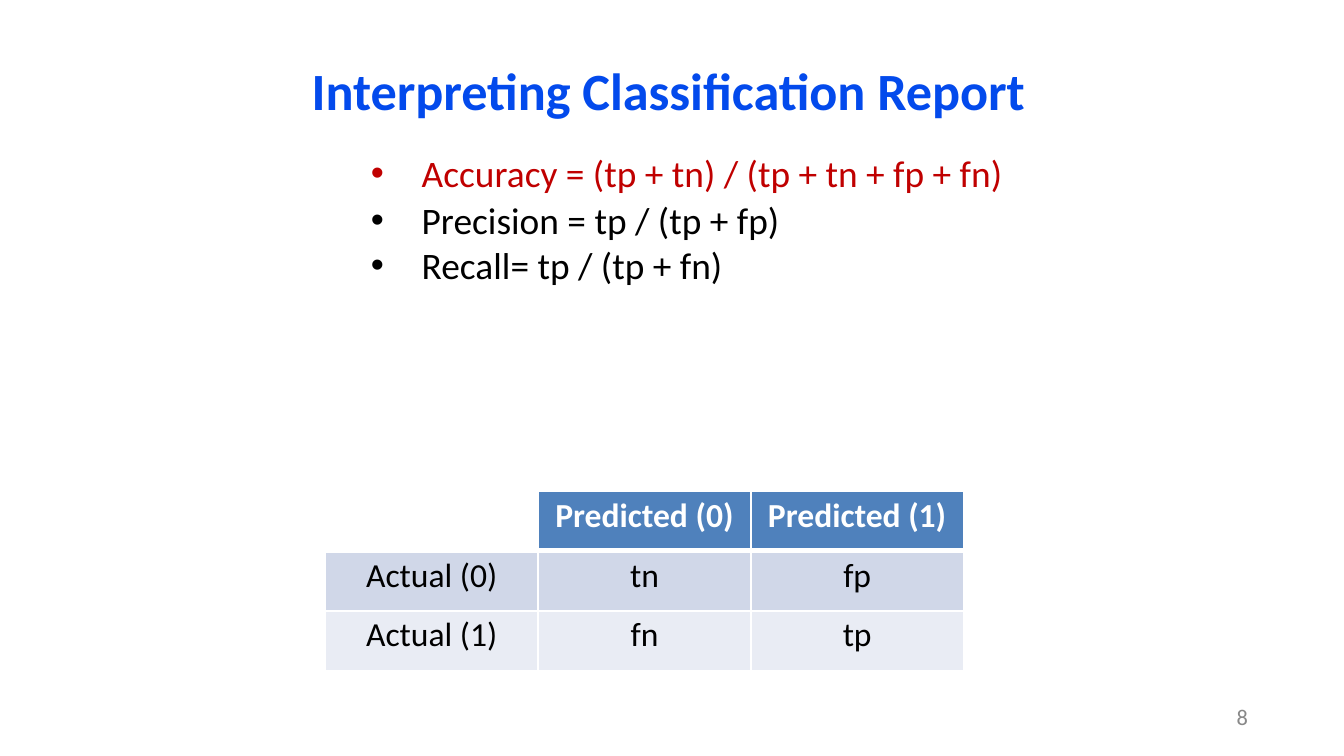
from lxml import etree
from pptx import Presentation
from pptx.dml.color import RGBColor
from pptx.enum import text
from pptx.oxml import ns
from pptx.util import Cm, Pt

BLUE = RGBColor(0x03, 0x4A, 0xEC)
RED = RGBColor(0xC0, 0x00, 0x00)
BLACK = RGBColor(0x00, 0x00, 0x00)
WHITE = RGBColor(0xFF, 0xFF, 0xFF)
GREY = RGBColor(0x88, 0x88, 0x88)
HEADER_FILL = RGBColor(0x4F, 0x81, 0xBC)
ROW_FILLS = [RGBColor(0xD0, 0xD7, 0xE8), RGBColor(0xE9, 0xEC, 0xF4)]

METRICS = [
    (["Accuracy ", "= (tp + tn) / (tp + tn + fp + fn)"], RED, 0),
    (["Precision ", "= tp / (tp + fp)"], BLACK, 1.1),
    (["Recall= ", "tp / (tp + fn)"], BLACK, 0),
]
CONFUSION = [
    ["", "Predicted (0)", "Predicted (1)"],
    ["Actual (0)", "tn", "fp"],
    ["Actual (1)", "fn", "tp"],
]


def add_run(paragraph, words, size, color, bold=False):
    """Append one formatted run to a paragraph."""
    run = paragraph.add_run()
    run.text = words
    run.font.name = "Calibri"
    run.font.size = Pt(size)
    run.font.bold = bold
    run.font.color.rgb = color


def place(region, box):
    """Move a text region to its box and return its frame without insets."""
    region.left, region.top, region.width, region.height = box
    frame = region.text_frame
    frame.margin_left = frame.margin_right = frame.margin_top = frame.margin_bottom = 0
    frame.word_wrap = True
    frame.auto_size = text.MSO_AUTO_SIZE.NONE
    frame.vertical_anchor = text.MSO_ANCHOR.TOP
    return frame


def fill_title(slide, box):
    """Write the slide title in the title placeholder."""
    heading = place(slide.shapes.title, box).paragraphs[0]
    heading.alignment = text.PP_ALIGN.LEFT
    add_run(heading, "Interpreting Classification Report", 28, BLUE, True)


def fill_metrics(slide, box):
    """Write the bulleted metric formulas in the body placeholder."""
    frame = place(slide.placeholders[1], box)
    for index, (parts, color, gap) in enumerate(METRICS):
        formula = frame.add_paragraph() if index else frame.paragraphs[0]
        properties = formula._p.get_or_add_pPr()
        properties.set("marL", str(Cm(0.98)))
        properties.set("indent", str(-Cm(0.96)))
        formula.space_before = Pt(gap)
        etree.SubElement(properties, ns.qn("a:buFont")).set("typeface", "Arial")
        etree.SubElement(properties, ns.qn("a:buChar")).set("char", "•")
        for part in parts:
            add_run(formula, part, 20, color)


def add_borders(cell, top, bottom):
    """Give a cell white borders, with top and bottom widths in points."""
    properties = cell._tc.get_or_add_tcPr()
    for side, width in (("L", 1), ("R", 1), ("T", top), ("B", bottom)):
        line = etree.SubElement(properties, ns.qn(f"a:ln{side}"), w=str(Pt(width)))
        solid = etree.SubElement(line, ns.qn("a:solidFill"))
        etree.SubElement(solid, ns.qn("a:srgbClr"), val=str(WHITE))


def add_confusion_matrix(slide, box):
    """Draw the confusion matrix with equal rows and columns."""
    matrix = slide.shapes.add_table(3, 3, *box).table
    for row, labels in enumerate(CONFUSION):
        for column, label in enumerate(labels):
            cell = matrix.cell(row, column)
            cell.margin_left = cell.margin_right = cell.margin_bottom = 0
            cell.margin_top = Cm(0.08)
            add_borders(cell, 3 if row == 1 else 1, 3 if row == 0 else 1)
            if not label:
                cell.fill.background()
                continue
            cell.fill.solid()
            cell.fill.fore_color.rgb = ROW_FILLS[row - 1] if row else HEADER_FILL
            entry = cell.text_frame.paragraphs[0]
            entry.alignment = text.PP_ALIGN.CENTER
            add_run(entry, label, 18, BLACK if row else WHITE, row == 0)


def add_page_number(slide, box):
    """Write the page number in the corner."""
    number = place(slide.shapes.add_textbox(*box), box).paragraphs[0]
    number._p.get_or_add_pPr().set("marL", str(Cm(0.1)))
    number.line_spacing = Pt(12.4)
    add_run(number, "8", 12, GREY)


def main():
    """Build and save the slide."""
    deck = Presentation()
    deck.slide_width, deck.slide_height = Cm(25.4), Cm(14.28)
    slide = deck.slides.add_slide(deck.slide_layouts[1])
    fill_title(slide, (Cm(5.89), Cm(1.09), Cm(13.59), Cm(1.24)))
    fill_metrics(slide, (Cm(6.99), Cm(2.84), Cm(16.08), Cm(2.64)))
    add_confusion_matrix(slide, (Cm(6.15), Cm(9.27), Cm(12.06), Cm(3.4)))
    add_page_number(slide, (Cm(23.27), Cm(13.36), Cm(0.71), Cm(0.56)))
    deck.save("out.pptx")


if __name__ == "__main__":
    main()
